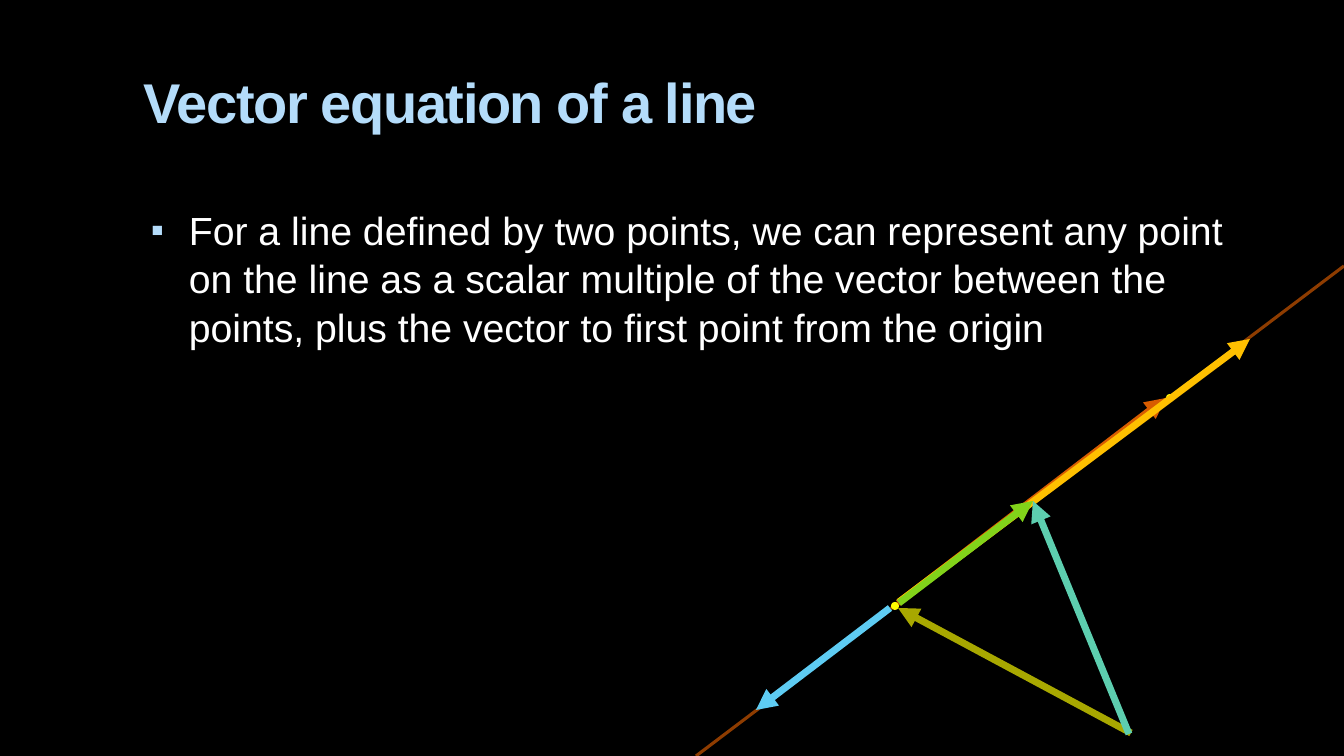
from dataclasses import dataclass

from lxml.etree import SubElement
from pptx import Presentation
from pptx.dml.color import RGBColor
from pptx.enum.shapes import MSO_CONNECTOR, MSO_SHAPE
from pptx.enum.text import MSO_ANCHOR
from pptx.oxml.ns import qn
from pptx.slide import Slide
from pptx.text.text import TextFrame
from pptx.util import Emu, Pt

EMU_PER_PX = 914400 / 100.8
SLIDE_WIDTH, SLIDE_HEIGHT = 1344, 756
FONT = "Arial"

BLACK = RGBColor(0x00, 0x00, 0x00)
WHITE = RGBColor(0xFF, 0xFF, 0xFF)
PALE_BLUE = RGBColor(0xB4, 0xDC, 0xFA)
ORANGE = RGBColor(0xD8, 0x5C, 0x00)
AMBER = RGBColor(0xFF, 0xC0, 0x00)
CYAN = RGBColor(0x5E, 0xCC, 0xF3)
YELLOW = RGBColor(0xFF, 0xFF, 0x00)
GREEN = RGBColor(0x81, 0xD3, 0x1A)
TEAL = RGBColor(0x5D, 0xCE, 0xAF)

Point = tuple[int, int]


@dataclass(frozen=True)
class Segment:
    start: Point
    end: Point
    color: RGBColor
    width: float = 5
    opacity: int = 100
    arrow: bool = True


DOT_SIZE = 8
DOT_CENTERS: list[Point] = [(1170, 398), (895, 606)]

INFINITE_LINE = Segment((696, 756), (1344, 266), ORANGE, 2.25, 65, arrow=False)
VECTORS = [
    Segment((898, 603), (1166, 398), ORANGE),
    Segment((899, 602), (1250, 339), AMBER),
    Segment((890, 608), (756, 710), CYAN),
    Segment((1131, 733), (898, 608), YELLOW, opacity=65),
    Segment((899, 603), (1033, 501), GREEN),
    Segment((1129, 734), (1033, 501), TEAL),
]


def px(length: int) -> Emu:
    return Emu(round(length * EMU_PER_PX))


def add_text_frame(slide: Slide, top: int, height: int, top_inset: int) -> TextFrame:
    frame = slide.shapes.add_textbox(px(134), px(top), px(1142), px(height)).text_frame
    frame.word_wrap = True
    frame.vertical_anchor = MSO_ANCHOR.TOP
    frame.margin_top = px(top_inset)
    return frame


def add_title(slide: Slide, text: str) -> None:
    frame = add_text_frame(slide, 56, 101, 12)
    run = frame.paragraphs[0].add_run()
    run.text = text
    run.font.name = FONT
    run.font.size = Pt(40)
    run.font.bold = True
    run.font.color.rgb = PALE_BLUE
    run.font._element.set("spc", "-100")


def add_bullet(slide: Slide, text: str) -> None:
    paragraph = add_text_frame(slide, 197, 504, 7).paragraphs[0]
    properties = paragraph._p.get_or_add_pPr()
    properties.set("marL", str(px(45)))
    properties.set("indent", str(px(-38)))
    bullet_color = SubElement(properties, qn("a:buClr"))
    SubElement(bullet_color, qn("a:srgbClr"), val=str(PALE_BLUE))
    SubElement(properties, qn("a:buSzPct"), val="95000")
    SubElement(properties, qn("a:buFont"), typeface=FONT)
    SubElement(properties, qn("a:buChar"), char="▪")
    paragraph.line_spacing = 1.04
    run = paragraph.add_run()
    run.text = text
    run.font.name = FONT
    run.font.size = Pt(28)
    run.font.color.rgb = WHITE


def add_segment(slide: Slide, segment: Segment) -> None:
    connector = slide.shapes.add_connector(
        MSO_CONNECTOR.STRAIGHT, *map(px, segment.start + segment.end)
    )
    connector.line.color.rgb = segment.color
    connector.line.width = Pt(segment.width)
    outline = connector.line._get_or_add_ln()
    if segment.opacity < 100:
        color = outline.find(".//" + qn("a:srgbClr"))
        SubElement(color, qn("a:alpha"), val=str(segment.opacity * 1000))
    if segment.arrow:
        SubElement(outline, qn("a:tailEnd"), type="triangle")
    SubElement(connector._element.spPr, qn("a:effectLst"))


def add_dot(slide: Slide, center: Point) -> None:
    left, top = (px(value - DOT_SIZE // 2) for value in center)
    dot = slide.shapes.add_shape(MSO_SHAPE.OVAL, left, top, px(DOT_SIZE), px(DOT_SIZE))
    dot.shadow.inherit = False
    dot.fill.solid()
    dot.fill.fore_color.rgb = YELLOW
    dot.line.fill.background()


def main() -> None:
    presentation = Presentation()
    presentation.slide_width = px(SLIDE_WIDTH)
    presentation.slide_height = px(SLIDE_HEIGHT)
    slide = presentation.slides.add_slide(presentation.slide_layouts[6])
    slide.background.fill.solid()
    slide.background.fill.fore_color.rgb = BLACK

    # Title and statement
    add_title(slide, "Vector equation of a line")
    add_bullet(
        slide,
        "For a line defined by two points, we can represent any point on the line "
        "as a scalar multiple of the vector between the points, plus the vector "
        "to first point from the origin",
    )

    # Line through the two points
    add_segment(slide, INFINITE_LINE)
    for center in DOT_CENTERS:
        add_dot(slide, center)

    # Vectors along the line and from the origin
    for vector in VECTORS:
        add_segment(slide, vector)

    presentation.save("out.pptx")


if __name__ == "__main__":
    main()
